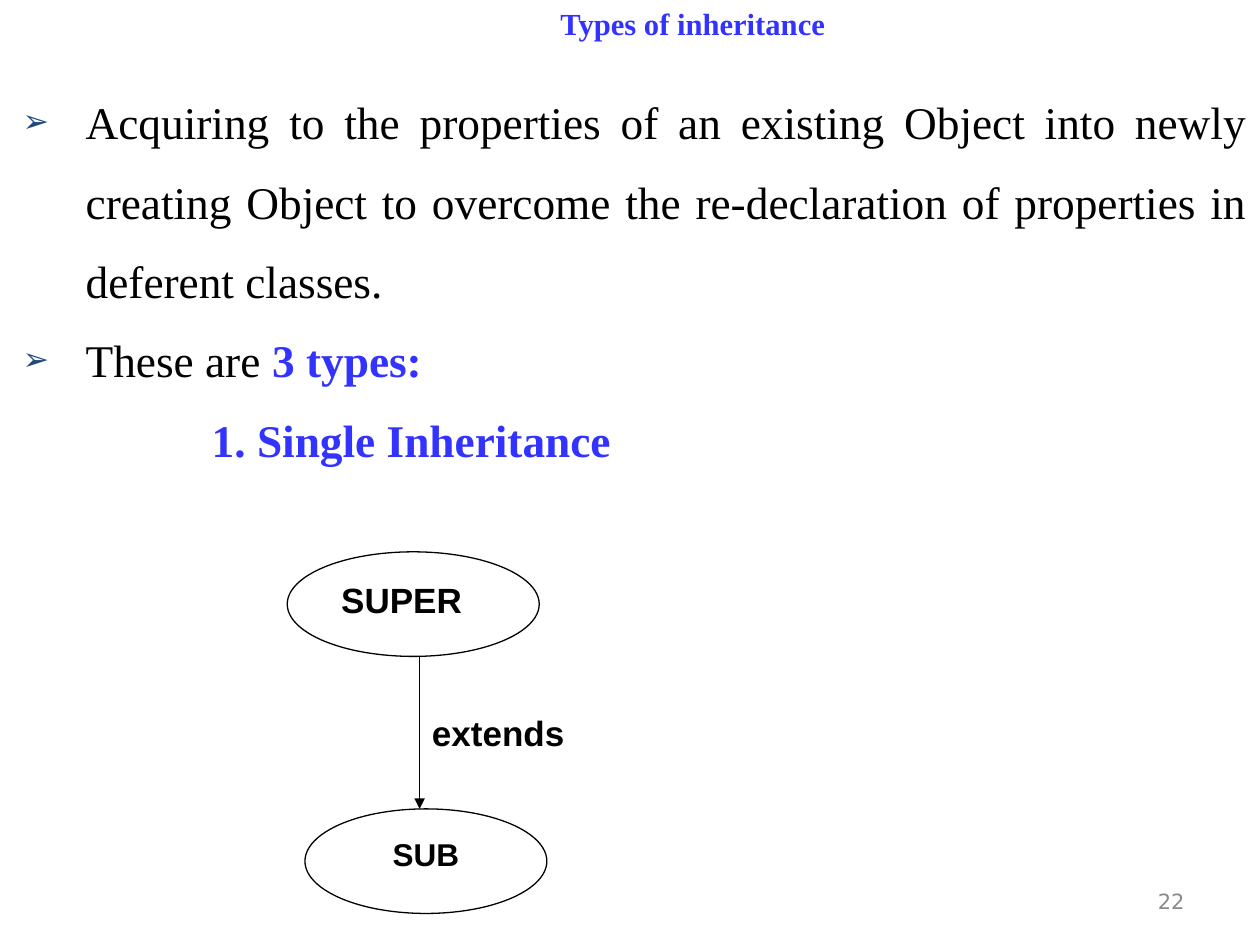
"""Build the slide on types of inheritance, with a single-inheritance diagram."""
from lxml import etree
from pptx import Presentation
from pptx.dml.color import RGBColor
from pptx.enum.shapes import MSO_CONNECTOR as CONNECTOR, MSO_SHAPE as SHAPE
from pptx.enum.text import MSO_ANCHOR as ANCHOR, MSO_AUTO_SIZE as AUTO, PP_ALIGN as ALIGN
from pptx.oxml.ns import qn
from pptx.util import Inches, Pt

BLUE, BLACK, SERIF = "3333FF", "000000", "Times New Roman"


def rgb(value):
    return RGBColor.from_string(value)


def style(font, name, size, color, bold):
    font.name, font.size, font.bold = name, Pt(size), bold
    font.color.rgb = rgb(color)


prs = Presentation()
prs.slide_width, prs.slide_height = Inches(10), Inches(7.5)
slide = prs.slides.add_slide(prs.slide_layouts[1])
shapes = slide.shapes

title = shapes.title
title.left, title.top, title.width, title.height = Inches(1), Inches(0), Inches(9), Inches(0.42)
title.text_frame.auto_size = AUTO.NONE
title.text_frame.vertical_anchor = ANCHOR.MIDDLE
heading = title.text_frame.paragraphs[0]
heading.text = "Types of inheritance"
heading.alignment, heading.line_spacing = ALIGN.CENTER, 0.8
style(heading.font, SERIF, 17.5, BLUE, True)

body = slide.placeholders[1]
body.left, body.top, body.width, body.height = Inches(0.08), Inches(0.5), Inches(9.92), Inches(4)
body.text_frame.auto_size = AUTO.NONE
points = [
    (True, [("Acquiring to the properties of an existing Object into newly creating Object "
             "to overcome the re-declaration of properties in deferent classes.", BLACK, False)]),
    (True, [("These are ", BLACK, False), ("3 types:", BLUE, True)]),
    (False, [("1. Single Inheritance", BLUE, True)]),
]
for index, (bulleted, parts) in enumerate(points):
    point = body.text_frame.add_paragraph() if index else body.text_frame.paragraphs[0]
    props = point._p.get_or_add_pPr()
    props.set("marL", str(Inches(0.5 if bulleted else 1.5)))
    props.set("indent", str(Inches(-0.5 if bulleted else 0)))
    if bulleted:
        bullet_color = etree.SubElement(props, qn("a:buClr"))
        etree.SubElement(bullet_color, qn("a:srgbClr"), val="1F497D")
        etree.SubElement(props, qn("a:buSzPct"), val="70000")
        etree.SubElement(props, qn("a:buFont"), typeface="Arial")
        etree.SubElement(props, qn("a:buChar"), char="➢")
    else:
        etree.SubElement(props, qn("a:buNone"))
    point.alignment, point.line_spacing, point.space_before = ALIGN.JUSTIFY, 1.46, Pt(0)
    style(point.font, SERIF, 25.9, parts[0][1], parts[0][2])
    for words, color, bold in parts:
        run = point.add_run()
        run.text = words
        if len(parts) > 1:
            run.font.color.rgb, run.font.bold = rgb(color), bold

for left, top, width in [(2.28, 4.38, 2), (2.42, 6.42, 1.92)]:
    oval = shapes.add_shape(SHAPE.OVAL, Inches(left), Inches(top), Inches(width), Inches(0.83))
    oval.shadow.inherit = False
    oval.fill.solid()
    oval.fill.fore_color.rgb = rgb("FFFFFF")
    oval.line.color.rgb, oval.line.width = rgb(BLACK), Pt(0.75)

arrow = shapes.add_connector(CONNECTOR.STRAIGHT, Inches(3.33), Inches(5.21), Inches(3.33), Inches(6.42))
arrow.line.color.rgb, arrow.line.width = rgb(BLACK), Pt(0.75)
etree.SubElement(arrow.line._get_or_add_ln(), qn("a:tailEnd"), type="triangle")
etree.SubElement(arrow._element.spPr, qn("a:effectLst"))

labels = [
    ("SUPER", 2.61, 4.54, 1.33, 0.44, ALIGN.LEFT, ANCHOR.TOP, "Arial", 20, BLACK, True),
    ("SUB", 2.67, 6.58, 1.42, 0.4, ALIGN.CENTER, ANCHOR.TOP, "Arial", 18, BLACK, True),
    ("extends", 3.33, 5.6, 1.33, 0.44, ALIGN.LEFT, ANCHOR.TOP, "Arial", 20, BLACK, True),
    ("22", 7.17, 6.95, 2.33, 0.4, ALIGN.RIGHT, ANCHOR.MIDDLE, "DejaVu Sans", 12, "898989", False),
]
for words, left, top, width, height, align, anchor, *look in labels:
    label = shapes.add_textbox(Inches(left), Inches(top), Inches(width), Inches(height)).text_frame
    label.word_wrap, label.vertical_anchor = True, anchor
    line = label.paragraphs[0]
    line.text, line.alignment = words, align
    style(line.font, *look)

prs.save("out.pptx")
